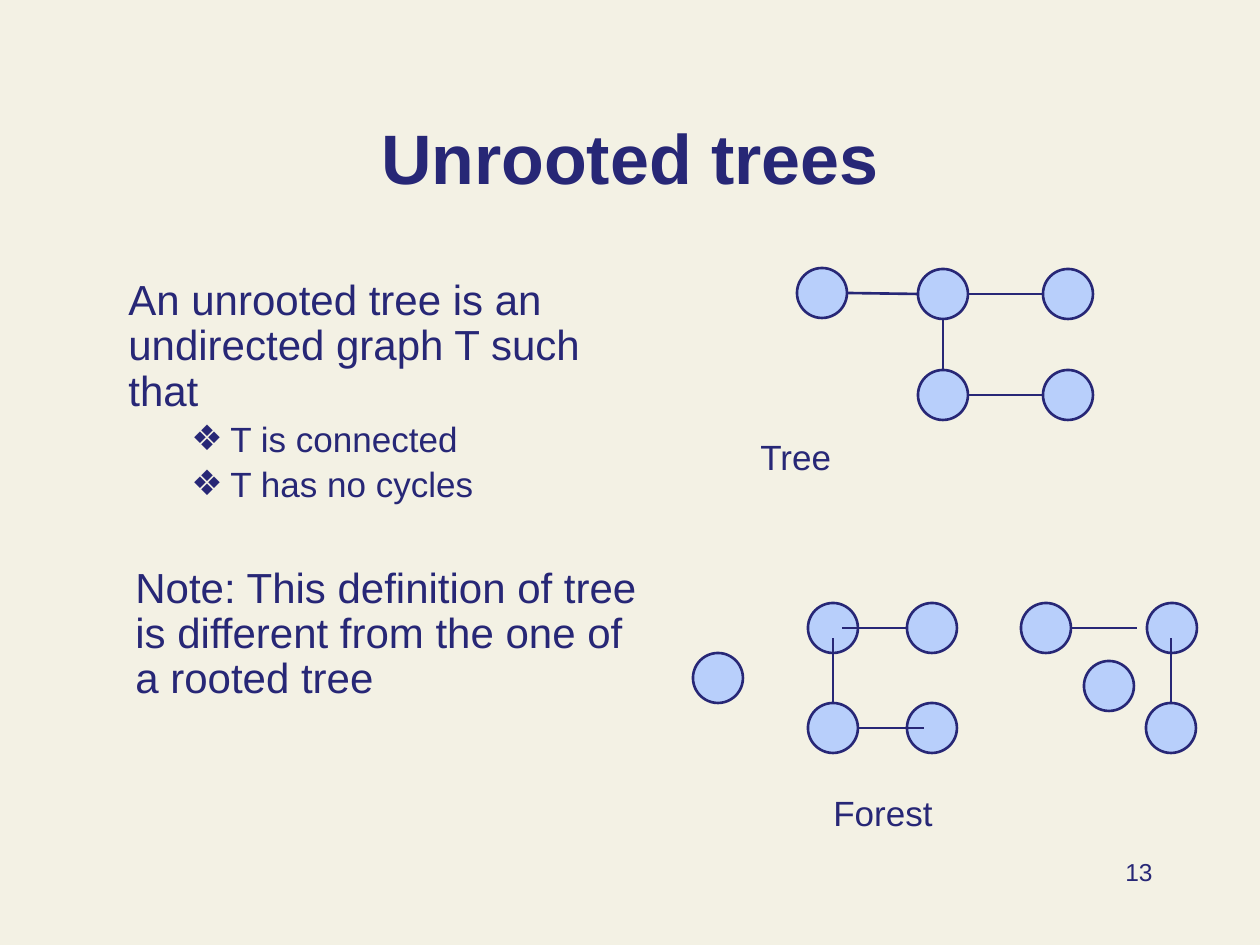
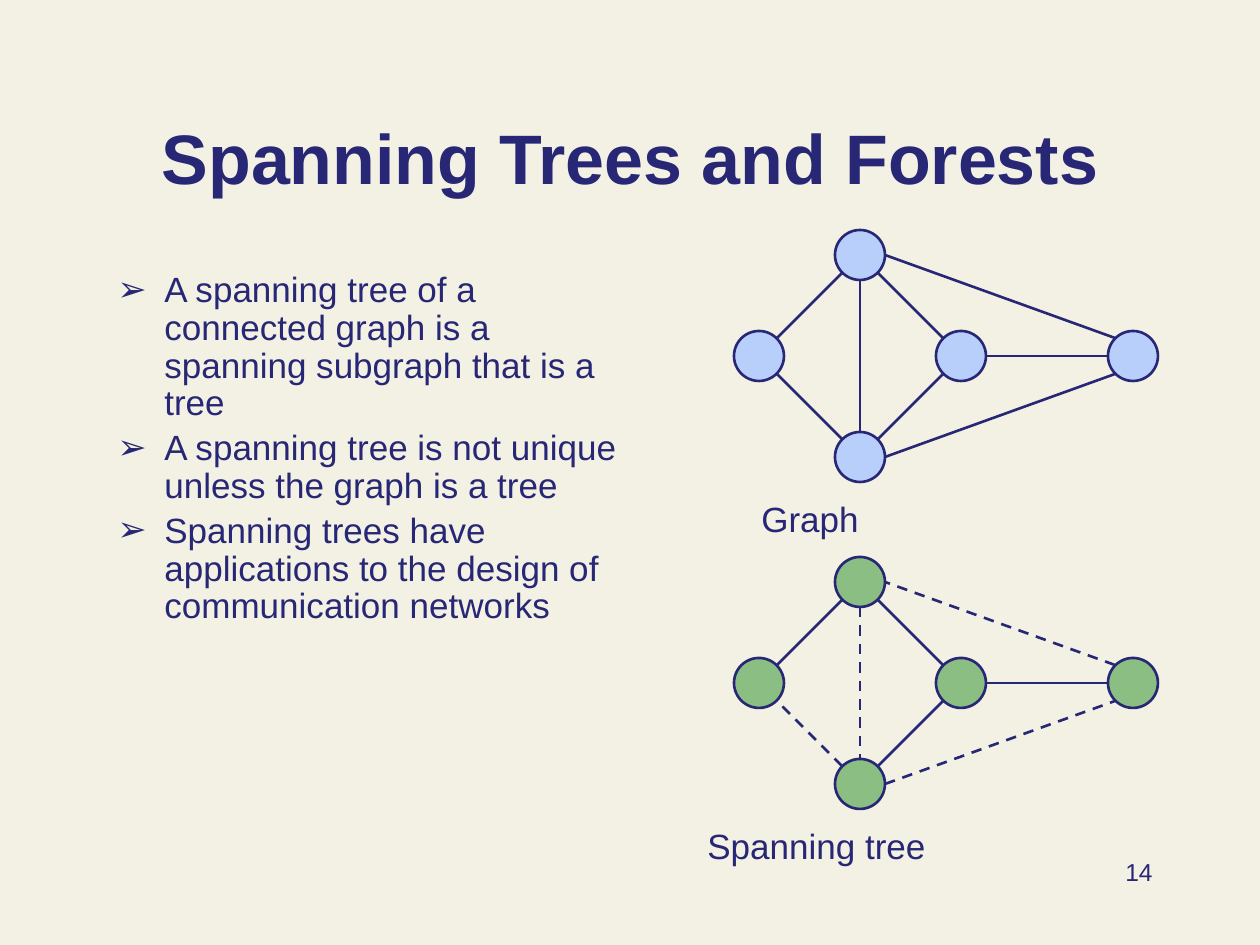
"""Build two slides on unrooted trees and spanning trees."""
import lxml.etree
import pptx
import pptx.dml.color
import pptx.enum.dml
import pptx.enum.shapes
import pptx.enum.text
import pptx.oxml.ns
import pptx.util

RGB = pptx.dml.color.RGBColor
ALIGN = pptx.enum.text.PP_ALIGN
ANCHOR = pptx.enum.text.MSO_ANCHOR
DASH = pptx.enum.dml.MSO_LINE.DASH
KIND = pptx.enum.shapes
QN = pptx.oxml.ns.qn
PT = pptx.util.Pt

NAVY = RGB(0x27, 0x27, 0x76)
CREAM = RGB(0xF3, 0xF1, 0xE4)
BLUE = RGB(0xB8, 0xCF, 0xFB)
GREEN = RGB(0x8B, 0xBE, 0x82)
FACE = "Arial"
PX = 914400 / 126
R = 25


def px(*nums):
    return [round(num * PX) for num in nums]


def write(page, box, lines, anchor=ANCHOR.TOP):
    frame = page.shapes.add_textbox(*px(*box)).text_frame
    frame.word_wrap = True
    frame.vertical_anchor = anchor
    for spot, (words, style) in enumerate(lines):
        para = frame.add_paragraph() if spot else frame.paragraphs[0]
        para.text = words
        for name, value in style.get("para", {}).items():
            setattr(para, name, value)
        font = para.runs[0].font
        font.color.rgb = NAVY
        for name, value in {"name": FACE, **style["font"]}.items():
            setattr(font, name, value)
        props = para._p.get_or_add_pPr()
        left, hang = px(*style.get("inset", (0, 0)))
        props.set("marL", str(left))
        props.set("indent", str(hang))
        if "mark" in style:
            for tag, key, value in [("a:buFont", "typeface", FACE),
                                    ("a:buChar", "char", style["mark"])]:
                lxml.etree.SubElement(props, QN(tag)).set(key, value)


TITLE = {"font": {"size": PT(40), "bold": True}, "para": {"alignment": ALIGN.CENTER}}
FOOT = {"font": {"size": PT(14)}, "para": {"alignment": ALIGN.RIGHT}}
LABEL = {"font": {"size": PT(20)}}
SHIFT = {**LABEL, "inset": (126, 0)}
LEAD = {"font": {"size": PT(24)}, "para": {"line_spacing": 0.9}}
NOTE = {"font": {"size": PT(24)}, "inset": (7, 0),
        "para": {"line_spacing": 0.9, "space_before": PT(35.5)}}
POINT = {"font": {"size": PT(20)}, "inset": (102, -39), "mark": "❖",
         "para": {"line_spacing": 0.9, "space_before": PT(4)}}
ITEM = {**POINT, "inset": (47, -47), "mark": "➢"}
FIRST = {**ITEM, "para": {"line_spacing": 0.9}}

deck = pptx.Presentation()
deck.slide_width, deck.slide_height = px(1260, 945)
ground = deck.slide_master.background.fill
ground.solid()
ground.fore_color.rgb = CREAM

topics = [
    ("Unrooted trees", "13", (116, 273, 535, 620), [
        ("An unrooted tree is an undirected graph T such that", LEAD),
        ("T is connected", POINT),
        ("T has no cycles", POINT),
        ("Note: This definition of tree is different from the one of a rooted tree", NOTE),
    ], [("Tree", LABEL, 748, 429, 393), ("Forest", SHIFT, 695, 785, 503)]),
    ("Spanning Trees and Forests", "14", (105, 266, 528, 585), [
        ("A spanning tree of a connected graph is a spanning subgraph that is a tree", FIRST),
        ("A spanning tree is not unique unless the graph is a tree", ITEM),
        ("Spanning trees have applications to the design of communication networks", ITEM),
    ], [("Graph", LABEL, 749, 491, 393), ("Spanning tree", LABEL, 695, 818, 503)]),
]
pages = []
for title, count, box, body, labels in topics:
    page = deck.slides.add_slide(deck.slide_layouts[6])
    pages.append(page)
    write(page, (94, 69, 1072, 136), [(title, TITLE)], ANCHOR.BOTTOM)
    write(page, box, body)
    write(page, (903, 851, 262, 63), [(count, FOOT)])
    for words, style, left, top, width in labels:
        write(page, (left, top, width, 54), [(words, style)])

tree, span = pages
dots = [(tree, x, y, BLUE) for x, y in [
    (822, 293), (943, 294), (1068, 294), (943, 395), (1068, 395),
    (718, 678), (833, 628), (932, 628), (833, 728), (932, 728),
    (1046, 628), (1172, 628), (1171, 728), (1109, 686)]]
wires = [(tree, ends, False) for ends in [
    (847, 293, 918, 294), (968, 294, 1043, 294), (943, 319, 943, 370),
    (968, 395, 1043, 395), (833, 703, 833, 638), (907, 628, 842, 628),
    (858, 728, 924, 728), (1171, 703, 1171, 638), (1072, 628, 1137, 628)]]

spots = {"west": (759, 356), "top": (860, 255), "mid": (961, 356),
         "low": (860, 457), "east": (1133, 356)}
edges = [
    ("top", (-1, 1), "west", (1, -1), False),
    ("low", (-1, -1), "west", (1, 1), True),
    ("low", (1, -1), "mid", (-1, 1), False),
    ("top", (1, 1), "mid", (-1, -1), False),
    ("top", (0, 1), "low", (0, -1), True),
    ("mid", (1, 0), "east", (-1, 0), False),
    ("low", (1, 0), "east", (-1, 1), True),
    ("east", (-1, -1), "top", (1, 0), True),
]
for drop, fill, dashed in [(0, BLUE, False), (327, GREEN, True)]:
    dots += [(span, x, y + drop, fill) for x, y in spots.values()]
    for start, out, end, back, spare in edges:
        ends = []
        for name, (dx, dy) in [(start, out), (end, back)]:
            x, y = spots[name]
            reach = R * 0.71 if dx and dy else R
            ends += [round(x + dx * reach), round(y + dy * reach + drop)]
        wires.append((span, ends, dashed and spare))

for page, x, y, fill in dots:
    dot = page.shapes.add_shape(KIND.MSO_SHAPE.OVAL, *px(x - R, y - R, 2 * R, 2 * R))
    dot.shadow.inherit = False
    dot.fill.solid()
    dot.fill.fore_color.rgb = fill
    dot.line.color.rgb = NAVY
    dot.line.width = PT(1.5)

for page, ends, dashed in wires:
    wire = page.shapes.add_connector(KIND.MSO_CONNECTOR.STRAIGHT, *px(*ends))
    wire.line.color.rgb = NAVY
    wire.line.width = PT(1.5)
    if dashed:
        wire.line.dash_style = DASH
    lxml.etree.SubElement(wire._element.spPr, QN("a:effectLst"))

deck.save("out.pptx")
